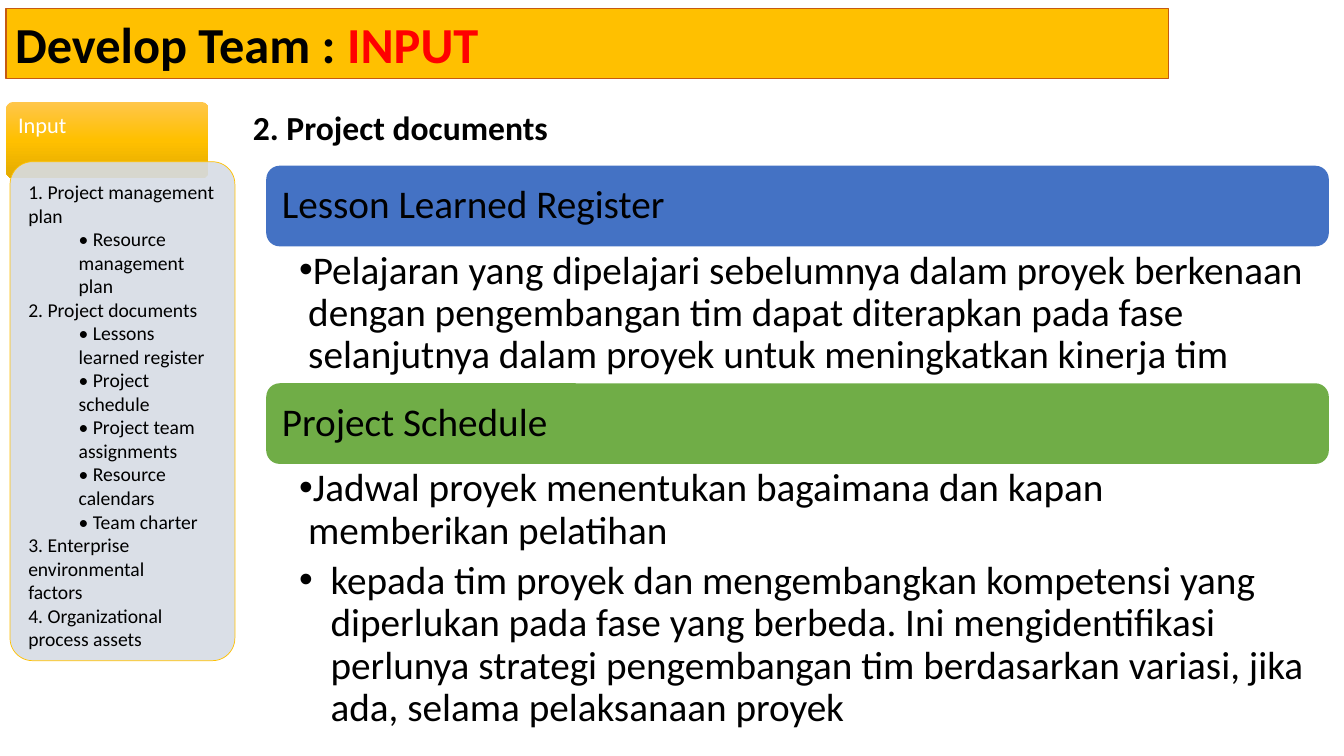
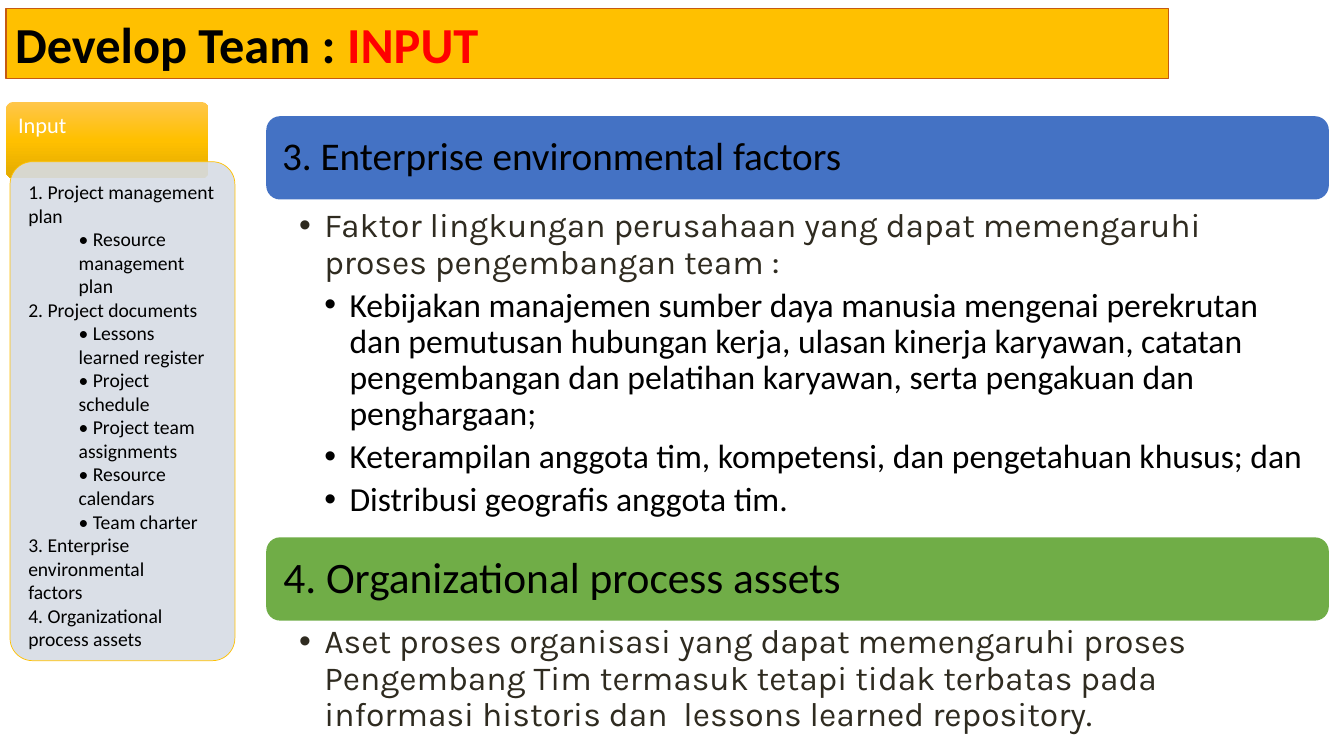
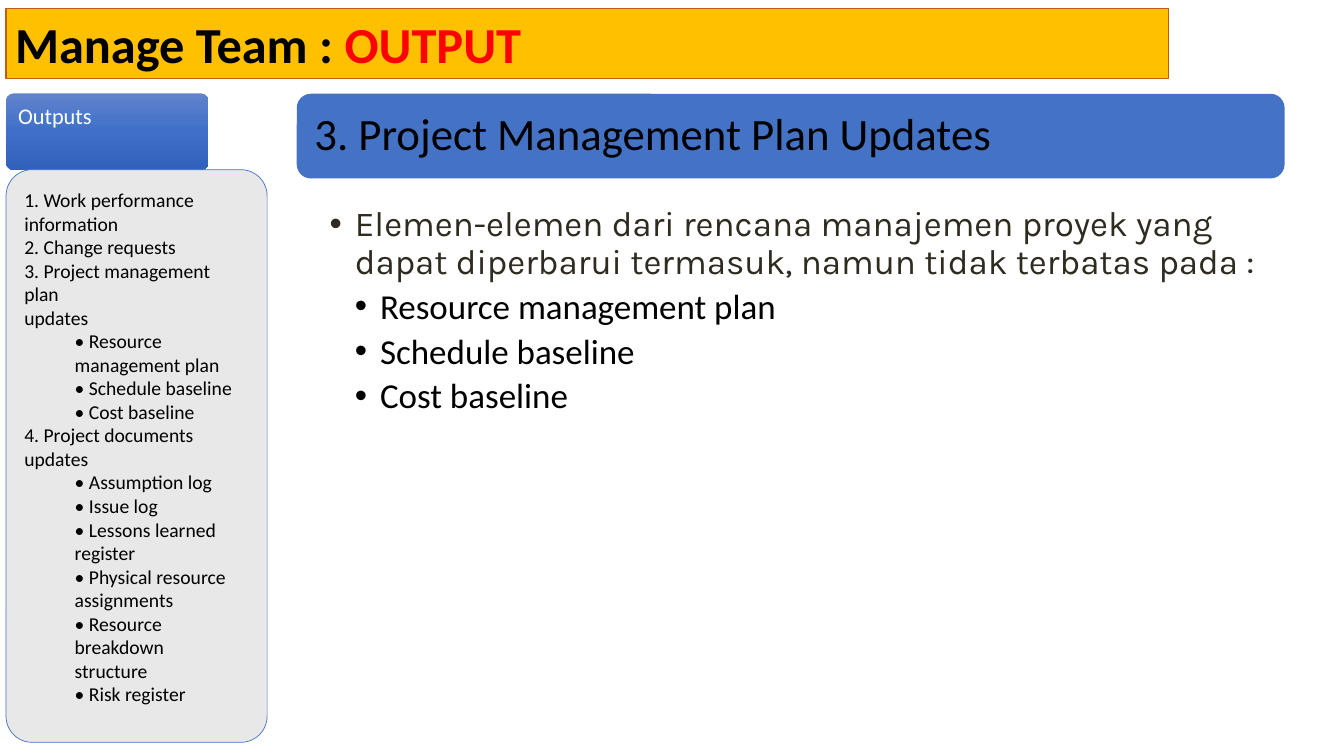
import pptx
import pptx.util
import pptx.dml.color
import pptx.enum.shapes
import pptx.enum.text
import pptx.oxml.ns
import lxml.etree

Pt = pptx.util.Pt
qn = pptx.oxml.ns.qn

COLORS = {
    "title": "FFC000", "title_edge": "C55A11", "accent": "FF0000",
    "text": "000000", "light": "FFFFFF", "lead": "2F2B20",
    "blue": "4472C4", "green": "70AD47",
    "input_panel": "D6DCE5", "output_panel": "E7E6E6",
}
BODY_FONT, LEAD_FONT = "Calibri", "Karla"
CORNER = 0.1
CORNER_TEXT_SHARE = 0.29

INPUTS = {
    "label": "Input",
    "tab": (4.3, 72.7, 144.7, 54.7),
    "shades": ((0, "FFC64B"), (50, "FFC000"), (100, "E3AB00")),
    "panel": (7.2, 115.5, 160.6, 356.4),
    "fill": "input_panel",
    "edge": "title",
    "items": [
        (0, "1. Project management plan"),
        (1, "• Resource management plan"),
        (0, "2. Project documents"),
        (1, "• Lessons learned register"),
        (1, "• Project schedule"),
        (1, "• Project team assignments"),
        (1, "• Resource calendars"),
        (1, "• Team charter"),
        (0, "3. Enterprise environmental"),
        (0, "factors"),
        (0, "4. Organizational process assets"),
    ],
}
OUTPUTS = {
    "label": "Outputs",
    "tab": (4.3, 66.7, 144.7, 54.7),
    "shades": ((0, "6183CB"), (50, "3E70CA"), (100, "3062BB")),
    "panel": (4.3, 121.2, 186.5, 409),
    "fill": "output_panel",
    "edge": "blue",
    "items": [
        (0, "1. Work performance"),
        (0, "information"),
        (0, "2. Change requests"),
        (0, "3. Project management plan"),
        (0, "updates"),
        (1, "• Resource management plan"),
        (1, "• Schedule baseline"),
        (1, "• Cost baseline"),
        (0, "4. Project documents updates"),
        (1, "• Assumption log"),
        (1, "• Issue log"),
        (1, "• Lessons learned register"),
        (1, "• Physical resource"),
        (1, "assignments"),
        (1, "• Resource breakdown"),
        (1, "structure"),
        (1, "• Risk register"),
    ],
}

BULLETS = {
    "tight": {"level": 1, "margin": 6.5, "hang": 6.5, "font": BODY_FONT, "color": "text"},
    "plain": {"level": 1, "margin": 22.5, "hang": 22.5, "font": BODY_FONT, "color": "text"},
    "lead": {"level": 1, "margin": 18, "hang": 18, "font": LEAD_FONT, "color": "lead"},
    "detail": {"level": 2, "margin": 36, "hang": 18, "font": BODY_FONT, "color": "text"},
}

SLIDES = [
    {
        "title": ("Develop Team : ", "INPUT"),
        "sidebar": INPUTS,
        "heading": "2. Project documents",
        "column": (190.2, 759),
        "bar_height": 57.6,
        "sections": [
            {"bar": "Lesson Learned Register", "size": 28, "fill": "blue", "top": 118.4,
             "text_top": 175.8, "text_height": 98.4, "text_size": 28, "points": [
                 ("tight", "Pelajaran yang dipelajari sebelumnya dalam proyek berkenaan dengan "
                  "pengembangan tim dapat diterapkan pada fase selanjutnya dalam proyek untuk "
                  "meningkatkan kinerja tim")]},
            {"bar": "Project Schedule", "size": 28, "fill": "green", "top": 273.8,
             "text_top": 331.4, "text_height": 197.3, "text_size": 28, "points": [
                 ("tight", "Jadwal proyek menentukan bagaimana dan kapan memberikan pelatihan"),
                 ("plain", "kepada tim proyek dan mengembangkan kompetensi yang diperlukan pada "
                  "fase yang berbeda. Ini mengidentifikasi perlunya strategi pengembangan tim "
                  "berdasarkan variasi, jika ada, selama pelaksanaan proyek")]},
        ],
    },
    {
        "title": ("Develop Team : ", "INPUT"),
        "sidebar": INPUTS,
        "column": (190.2, 759),
        "bar_height": 59.5,
        "sections": [
            {"bar": "3. Enterprise environmental factors", "size": 28, "fill": "blue", "top": 83,
             "text_top": 146.2, "text_height": 237.6, "text_size": 24, "points": [
                 ("lead", "Faktor lingkungan perusahaan yang dapat memengaruhi proses "
                  "pengembangan team :"),
                 ("detail", "Kebijakan manajemen sumber daya manusia mengenai perekrutan dan "
                  "pemutusan hubungan kerja, ulasan kinerja karyawan, catatan pengembangan dan "
                  "pelatihan karyawan, serta pengakuan dan penghargaan;"),
                 ("detail", "Keterampilan anggota tim, kompetensi, dan pengetahuan khusus; dan"),
                 ("detail", "Distribusi geografis anggota tim.")]},
            {"bar": "4. Organizational process assets", "size": 31, "fill": "green", "top": 383.8,
             "text_top": 443.5, "text_height": 83.5, "text_size": 24, "points": [
                 ("lead", "Aset proses organisasi yang dapat memengaruhi proses Pengembang Tim "
                  "termasuk tetapi tidak terbatas pada informasi historis dan  lessons learned "
                  "repository.")]},
        ],
    },
    {
        "title": ("Manage Team : ", "OUTPUT"),
        "sidebar": OUTPUTS,
        "column": (212, 705.6),
        "bar_height": 60.5,
        "sections": [
            {"bar": "3. Project Management Plan Updates", "size": 32, "fill": "blue", "top": 67,
             "text_top": 144.7, "text_height": 162, "text_size": 25, "points": [
                 ("lead", "Elemen-elemen dari rencana manajemen proyek yang dapat diperbarui "
                  "termasuk, namun tidak terbatas pada :"),
                 ("detail", "Resource management plan"),
                 ("detail", "Schedule baseline"),
                 ("detail", "Cost baseline")]},
        ],
    },
]


def rgb(name):
    return pptx.dml.color.RGBColor.from_string(COLORS[name])


def prepare_frame(shape, insets, anchor="TOP"):
    frame = shape.text_frame
    frame.word_wrap = True
    frame.vertical_anchor = getattr(pptx.enum.text.MSO_ANCHOR, anchor)
    (frame.margin_left, frame.margin_top,
     frame.margin_right, frame.margin_bottom) = map(Pt, insets)
    return frame


def next_paragraph(frame, index):
    paragraph = frame.add_paragraph() if index else frame.paragraphs[0]
    paragraph.alignment = pptx.enum.text.PP_ALIGN.LEFT
    return paragraph


def add_run(paragraph, text, size, color="text", font=BODY_FONT, bold=False):
    run = paragraph.add_run()
    run.text = text
    run.font.name = font
    run.font.size = Pt(size)
    run.font.bold = bold
    run.font.color.rgb = rgb(color)


def add_block(slide, kind, box, fill=None, edge=None, edge_width=0.5):
    preset = getattr(pptx.enum.shapes.MSO_SHAPE, kind)
    block = slide.shapes.add_shape(preset, *map(Pt, box))
    block.shadow.inherit = False
    if fill:
        block.fill.solid()
        block.fill.fore_color.rgb = rgb(fill)
    if edge:
        block.line.color.rgb = rgb(edge)
        block.line.width = Pt(edge_width)
    else:
        block.line.fill.background()
    return block


def rounded_insets(box, insets):
    corner = min(box[2:]) * CORNER * CORNER_TEXT_SHARE
    return [inset - corner for inset in insets]


def shade(block, stops):
    block.fill.gradient()
    block.fill.gradient_angle = 270
    stop_list = block.element.spPr.find(".//" + qn("a:gsLst"))
    for stop in list(stop_list):
        stop_list.remove(stop)
    for position, color in stops:
        stop = lxml.etree.SubElement(stop_list, qn("a:gs"), pos=str(position * 1000))
        lxml.etree.SubElement(stop, qn("a:srgbClr"), val=color)


def set_indent(paragraph, margin, hang=0):
    properties = paragraph._p.get_or_add_pPr()
    properties.set("marL", str(Pt(margin)))
    properties.set("indent", str(-Pt(hang)))
    return properties


def add_title(slide, words):
    title = add_block(slide, "RECTANGLE", (4.3, 5.8, 830.2, 50.4), "title", "title_edge", 0.75)
    paragraph = next_paragraph(prepare_frame(title, (6.5, 3.6, 6.5, 3.6)), 0)
    for word, color in zip(words, ("text", "accent")):
        add_run(paragraph, word, 36, color, bold=True)


def add_section(slide, section, column, bar_height):
    left, width = column
    bar = add_block(slide, "ROUNDED_RECTANGLE", (left, section["top"], width, bar_height),
                    section["fill"])
    frame = prepare_frame(bar, [0.3 * section["size"]] * 4, "MIDDLE")
    paragraph = next_paragraph(frame, 0)
    paragraph.line_spacing = 0.9
    add_run(paragraph, section["bar"], section["size"])

    body = slide.shapes.add_textbox(Pt(left), Pt(section["text_top"]),
                                    Pt(width), Pt(section["text_height"]))
    frame = prepare_frame(body, (23.5, 2.9, 16.5, 2.9))
    for index, (style, text) in enumerate(section["points"]):
        bullet = BULLETS[style]
        paragraph = next_paragraph(frame, index)
        paragraph.level = bullet["level"]
        paragraph.line_spacing = 0.9
        paragraph.space_after = Pt(0.2 * section["text_size"])
        properties = set_indent(paragraph, bullet["margin"], bullet["hang"])
        lxml.etree.SubElement(properties, qn("a:buFont"), typeface="Arial")
        lxml.etree.SubElement(properties, qn("a:buChar"), char="•")
        add_run(paragraph, text, section["text_size"], bullet["color"], bullet["font"])


def add_sidebar(slide, sidebar):
    tab = add_block(slide, "ROUNDED_RECTANGLE", sidebar["tab"])
    tab.adjustments[0] = CORNER
    shade(tab, sidebar["shades"])
    frame = prepare_frame(tab, rounded_insets(sidebar["tab"], (8.6, 8.6, 8.6, 23)))
    paragraph = next_paragraph(frame, 0)
    paragraph.line_spacing = 0.9
    add_run(paragraph, sidebar["label"], 16, "light")

    panel = add_block(slide, "ROUNDED_RECTANGLE", sidebar["panel"], sidebar["fill"],
                      sidebar["edge"])
    panel.adjustments[0] = CORNER
    tint = panel.element.spPr.find(qn("a:solidFill") + "/" + qn("a:srgbClr"))
    lxml.etree.SubElement(tint, qn("a:alpha"), val="90000")
    frame = prepare_frame(panel, rounded_insets(sidebar["panel"], [13] * 4))
    for index, (level, text) in enumerate(sidebar["items"]):
        paragraph = next_paragraph(frame, index)
        paragraph.level = level
        set_indent(paragraph, 36 * level)
        add_run(paragraph, text, 14)


def add_heading(slide, text):
    heading = slide.shapes.add_textbox(Pt(173.5), Pt(72.7), Pt(491), Pt(36))
    frame = prepare_frame(heading, (7.2, 3.6, 7.2, 3.6))
    add_run(next_paragraph(frame, 0), text, 24, bold=True)


def main():
    deck = pptx.Presentation()
    deck.slide_width, deck.slide_height = Pt(960), Pt(540)
    for content in SLIDES:
        slide = deck.slides.add_slide(deck.slide_layouts[6])
        add_title(slide, content["title"])
        for section in content["sections"]:
            add_section(slide, section, content["column"], content["bar_height"])
        add_sidebar(slide, content["sidebar"])
        if "heading" in content:
            add_heading(slide, content["heading"])
    deck.save("out.pptx")


if __name__ == "__main__":
    main()
